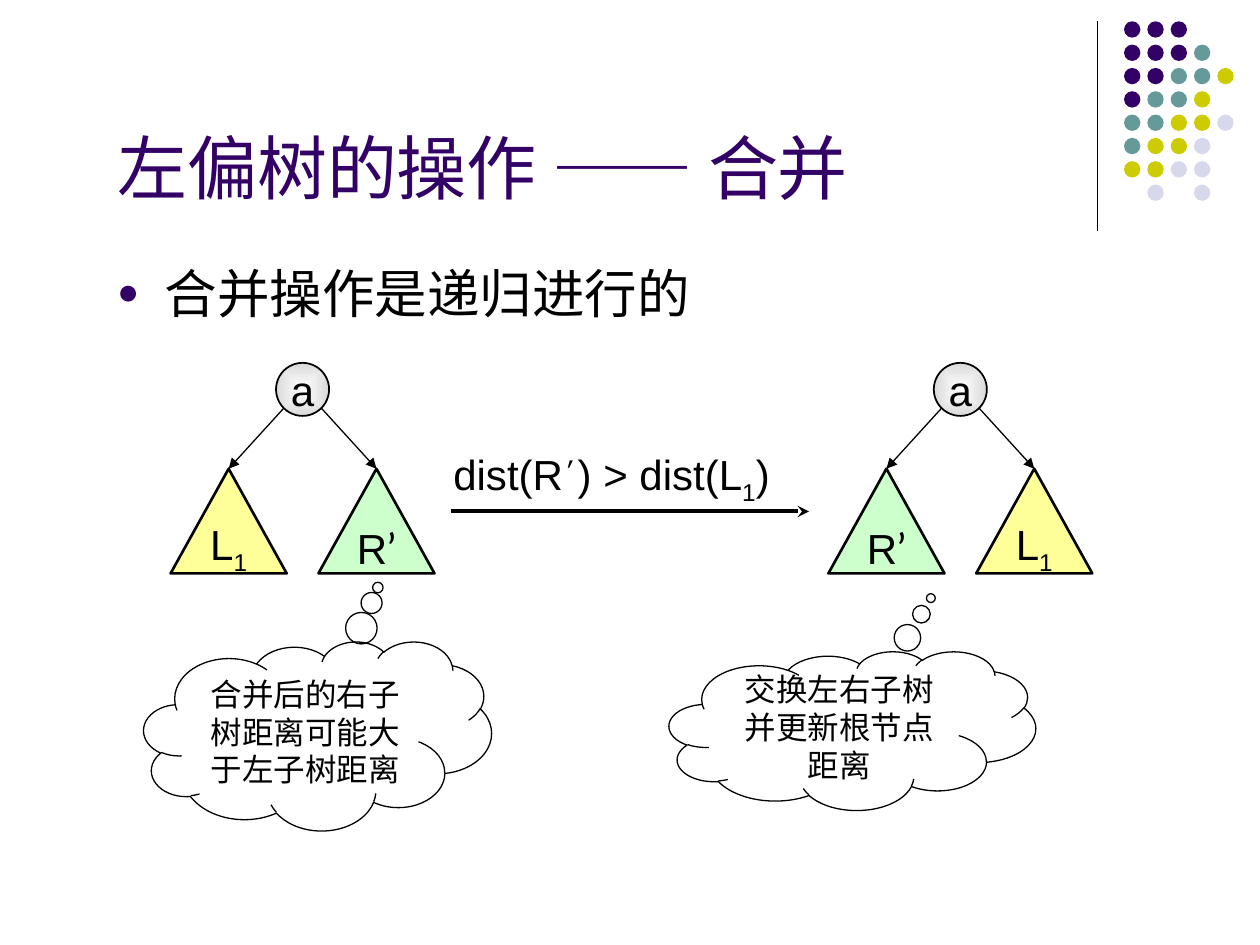
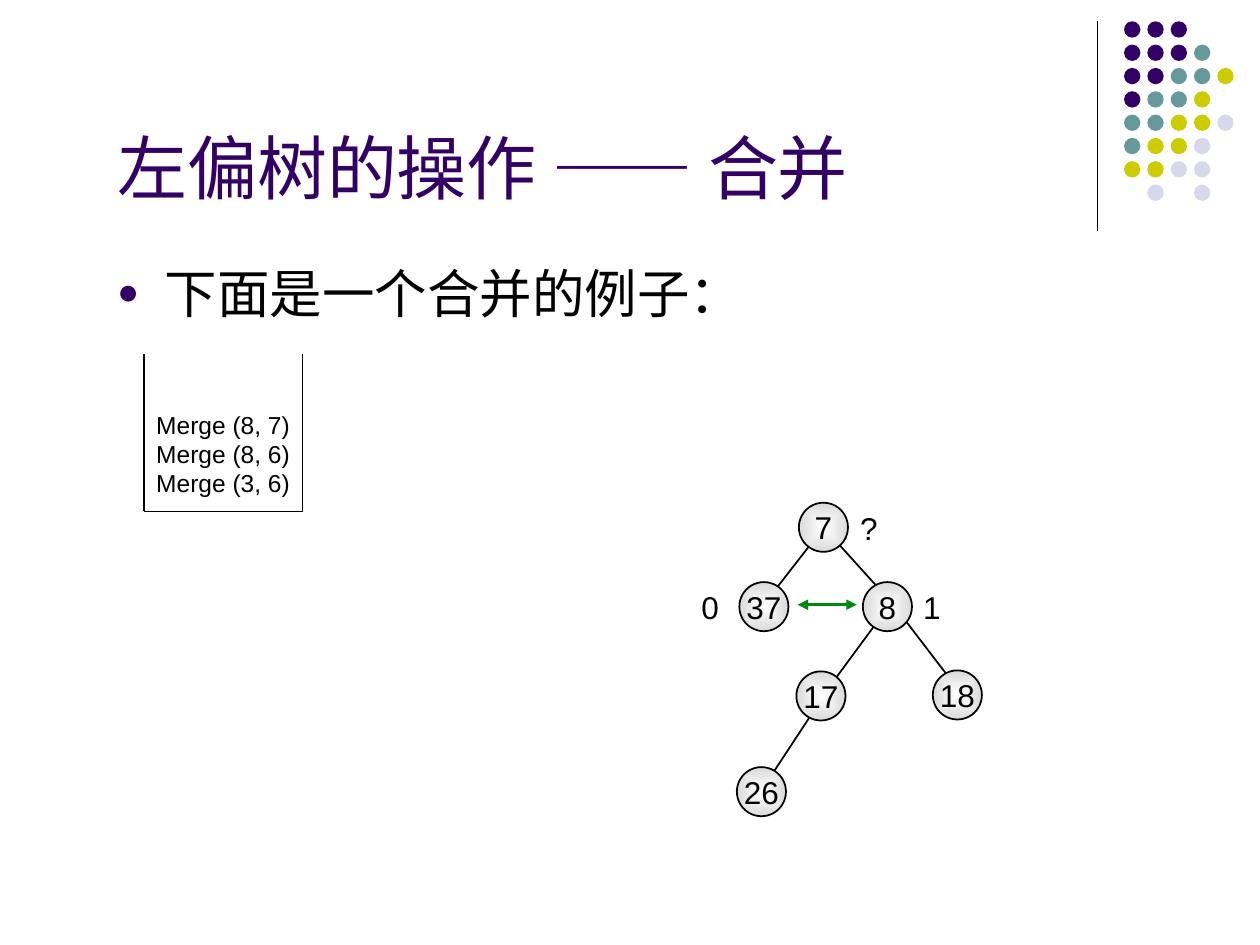
from dataclasses import dataclass

from lxml import etree
from pptx import Presentation
from pptx.dml.color import RGBColor
from pptx.enum.shapes import MSO_CONNECTOR, MSO_SHAPE
from pptx.enum.text import MSO_ANCHOR, MSO_AUTO_SIZE, PP_ALIGN
from pptx.oxml import parse_xml
from pptx.oxml.ns import nsdecls, qn
from pptx.util import Cm, Pt

STRAIGHT = MSO_CONNECTOR.STRAIGHT
OVAL, TRIANGLE, CLOUD = MSO_SHAPE.OVAL, MSO_SHAPE.ISOSCELES_TRIANGLE, MSO_SHAPE.CLOUD_CALLOUT
TOP, MIDDLE, BOTTOM = MSO_ANCHOR.TOP, MSO_ANCHOR.MIDDLE, MSO_ANCHOR.BOTTOM
LEFT, CENTER = PP_ALIGN.LEFT, PP_ALIGN.CENTER
TITLE_ONLY = 5
APEX = 0


@dataclass(frozen=True)
class Theme:
    purple: str = "330066"
    teal: str = "669999"
    olive: str = "CCCC00"
    lavender: str = "D8D8EC"
    black: str = "000000"
    white: str = "FFFFFF"
    gray: str = "DADADA"
    yellow: str = "FFFF99"
    mint: str = "CCFFCC"
    green: str = "008A0D"
    latin: str = "Arial"
    asian: str = "Noto Sans CJK SC"
    quote: str = "Lato"
    mono: str = "Courier New"
    title: int = 40
    bullet: int = 30
    tree: int = 24
    node: int = 18
    stack: int = 14


THEME = Theme()

# A span is plain text or (text, font, baseline shift in percent).
TITLE = ["左偏树的操作 ", ("—— ", THEME.asian, 0), "合并"]
RECURSION = "合并操作是递归进行的"
EXAMPLE = "下面是一个合并的例子："

DOT_ROWS = ["PPP", "PPPT", "PPTTO", "PTTO", "TTOOL", "TOOL", "OOLL", " L L"]
DOT_COLORS = {"P": THEME.purple, "T": THEME.teal, "O": THEME.olive, "L": THEME.lavender}

LEFT_SUBTREE = (["L", ("1", THEME.latin, -25)], THEME.yellow)
RIGHT_SUBTREE = (["R", ("’", THEME.quote, 0)], THEME.mint)
TREES = [  # centre of the root, subtrees from left to right
    (6.1, [LEFT_SUBTREE, RIGHT_SUBTREE]),
    (19.36, [RIGHT_SUBTREE, LEFT_SUBTREE]),
]
CONDITION = ["dist(R", ("’", THEME.mono, 30), ") > dist(L", ("1", THEME.latin, -25), ")"]
CLOUDS = [  # area, pointer, text
    ((13.49, 13.13, 7.39, 3.2), (0.214, -0.835), "交换左右子树并更新根节点距离"),
    ((2.9, 12.93, 7.01, 3.81), (0.173, -0.785), "合并后的右子树距离可能大于左子树距离"),
]

CALLS = ["Merge (8, 7)", "Merge (8, 6)", "Merge (3, 6)"]
STACK_OUTLINE = [(2.9, 7.14), (2.9, 10.31), (6.1, 10.31), (6.1, 7.14)]
NODES = {
    "7": (16.6, 10.63), "37": (15.4, 12.23), "8": (17.89, 12.23),
    "17": (16.55, 14.03), "18": (19.3, 14.01), "26": (15.35, 15.96),
}
EDGES = [
    ((18.26, 12.52), (19.08, 13.59)),
    ((17.88, 12.27), (16.59, 14.02)),
    ((16.51, 14.17), (15.32, 15.98)),
    ((16.56, 10.69), (15.65, 11.86)),
    ((16.61, 10.64), (17.65, 11.79)),
]
DISTANCES = [  # text, left, top, width, alignment
    ("0", 13.89, 11.73, 0.81, CENTER),
    ("1", 18.29, 11.73, 0.99, CENTER),
    ("?", 17.09, 10.13, 0.81, LEFT),
]


def write(shape, lines, size, color=THEME.black, align=LEFT, anchor=TOP, wrap=True):
    """Fill a shape with paragraphs, each given as a list of spans."""
    frame = shape.text_frame
    settings = {"word_wrap": wrap, "vertical_anchor": anchor, "auto_size": MSO_AUTO_SIZE.NONE}
    for name, value in settings.items():
        setattr(frame, name, value)
    for index, line in enumerate(lines):
        para = frame.add_paragraph() if index else frame.paragraphs[0]
        para.alignment = align
        for span in line:
            text, face, shift = (span, THEME.latin, 0) if isinstance(span, str) else span
            run = para.add_run()
            run.text = text
            for name, value in {"size": Pt(size), "name": face, "bold": False}.items():
                setattr(run.font, name, value)
            run.font.color.rgb = RGBColor.from_string(color)
            props = run.font._element
            if shift:
                props.set("baseline", str(shift * 1000))
            asian = THEME.asian if face == THEME.latin else face
            props.find(qn("a:latin")).addnext(
                parse_xml(f'<a:ea {nsdecls("a")} typeface="{asian}"/>'))


def add_text(page, area, lines, size, **style):
    box = page.shapes.add_textbox(*map(Cm, area))
    write(box, lines, size, **style)
    return box


def add_figure(page, kind, area, fill=None, weight=None):
    shape = page.shapes.add_shape(kind, *map(Cm, area))
    shape.shadow.inherit = False
    if fill:
        shape.fill.solid()
        shape.fill.fore_color.rgb = RGBColor.from_string(fill)
    else:
        shape.fill.background()
    if weight:
        shape.line.color.rgb = RGBColor.from_string(THEME.black)
        shape.line.width = Pt(weight)
    else:
        shape.line.fill.background()
    return shape


def add_line(page, start, end, weight=0.75, color=THEME.black, head=None, tail=None):
    line = page.shapes.add_connector(STRAIGHT, *map(Cm, (*start, *end)))
    line.line.color.rgb = RGBColor.from_string(color)
    line.line.width = Pt(weight)
    for tag, arrow in (("a:headEnd", head), ("a:tailEnd", tail)):
        if arrow:
            etree.SubElement(line.line._ln, qn(tag), type=arrow)
    etree.SubElement(line._element.spPr, qn("a:effectLst"))
    return line


def add_node(page, center, diameter, label, size):
    """Draw a round tree node with a radial shade."""
    x, y = center
    node = add_figure(page, OVAL, (x - diameter / 2, y - diameter / 2, diameter, diameter),
                      weight=1)
    shade = parse_xml(
        f'<a:gradFill {nsdecls("a")} rotWithShape="1"><a:gsLst>'
        f'<a:gs pos="0"><a:srgbClr val="{THEME.white}"/></a:gs>'
        f'<a:gs pos="100000"><a:srgbClr val="{THEME.gray}"/></a:gs></a:gsLst>'
        '<a:path path="shape"><a:fillToRect l="50000" t="50000" r="50000" b="50000"/></a:path>'
        '</a:gradFill>')
    props = node._element.spPr
    props.replace(props.find(qn("a:noFill")), shade)
    write(node, [[label]], size, align=CENTER, anchor=MIDDLE, wrap=False)


def add_page(deck, bullet):
    """Start a page with the corner dots, the title and one bullet."""
    page = deck.slides.add_slide(deck.slide_layouts[TITLE_ONLY])
    add_line(page, (22.12, 0.43), (22.12, 4.65))
    pitch, diameter = 0.47, 0.33
    for row, marks in enumerate(DOT_ROWS):
        for column, mark in enumerate(marks):
            if mark in DOT_COLORS:
                area = (22.66 + column * pitch, 0.43 + row * pitch, diameter, diameter)
                add_figure(page, OVAL, area, DOT_COLORS[mark])

    title = page.shapes.title
    place = {"left": 2.11, "top": 2.13, "width": 21.62, "height": 2.21}
    for name, value in place.items():
        setattr(title, name, Cm(value))
    write(title, [TITLE], THEME.title, color=THEME.purple, anchor=BOTTOM)

    body = add_text(page, (2.11, 5.13, 21.41, 12.4), [[bullet]], THEME.bullet)
    props = body.text_frame.paragraphs[0]._p.get_or_add_pPr()
    props.set("marL", str(Cm(0.96)))
    props.set("indent", str(-Cm(0.96)))
    color = etree.SubElement(props, qn("a:buClr"))
    etree.SubElement(color, qn("a:srgbClr"), val=THEME.purple)
    etree.SubElement(props, qn("a:buSzPct"), val="70000")
    etree.SubElement(props, qn("a:buFont"), typeface=THEME.latin)
    etree.SubElement(props, qn("a:buChar"), char="●")
    return page


def add_tree(page, root_x, subtrees):
    root_y, diameter, spread = 7.85, 1.07, 1.49
    top, width, height = 9.45, 2.34, 2.11
    corner = diameter / 2 * 0.71
    add_node(page, (root_x, root_y), diameter, "a", THEME.tree)
    for side, (label, fill) in zip((-1, 1), subtrees):
        x = root_x + side * spread
        subtree = add_figure(page, TRIANGLE, (x - width / 2, top, width, height), fill, 1.5)
        write(subtree, [label], THEME.tree, align=CENTER, anchor=MIDDLE, wrap=False)
        branch = add_line(page, (root_x + side * corner, root_y + corner), (x, top),
                          tail="triangle")
        branch.end_connect(subtree, APEX)


def build_recursion(deck):
    page = add_page(deck, RECURSION)
    for root_x, subtrees in TREES:
        add_tree(page, root_x, subtrees)
    add_line(page, (9.09, 10.31), (16.31, 10.31), 2.25, tail="stealth")
    add_text(page, (8.89, 8.92, 6.99, 1.27), [CONDITION], THEME.tree, wrap=False)
    for area, pointer, text in CLOUDS:
        cloud = add_figure(page, CLOUD, area, weight=0.75)
        for index, value in enumerate(pointer):
            cloud.adjustments[index] = value
        write(cloud, [[text]], THEME.node, align=CENTER, anchor=MIDDLE)


def build_example(deck):
    page = add_page(deck, EXAMPLE)
    add_text(page, (2.9, 7.54, 3.2, 2.62), [[call] for call in CALLS], THEME.stack,
             anchor=BOTTOM, wrap=False)
    for start, end in zip(STACK_OUTLINE, STACK_OUTLINE[1:]):
        add_line(page, start, end)
    for start, end in EDGES:
        add_line(page, start, end, 1)
    for label, center in NODES.items():
        add_node(page, center, 0.99, label, THEME.node)
    for text, left, top, width, align in DISTANCES:
        add_text(page, (left, top, width, 1.02), [[text]], THEME.node, align=align)
    add_line(page, (16.08, 12.19), (17.27, 12.19), 1.5, THEME.green,
             head="triangle", tail="triangle")


def main():
    deck = Presentation()
    deck.slide_width, deck.slide_height = Cm(25.4), Cm(19.05)
    build_recursion(deck)
    build_example(deck)
    deck.save("out.pptx")


if __name__ == "__main__":
    main()
